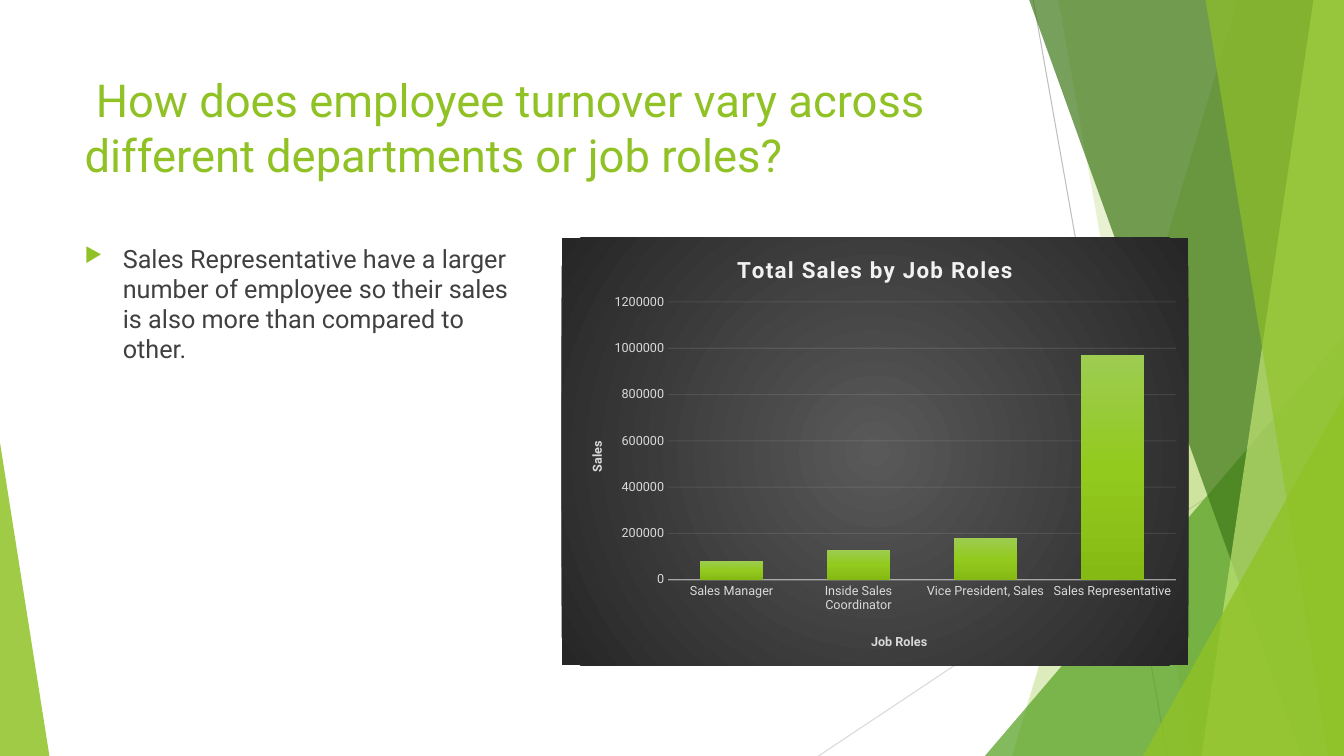
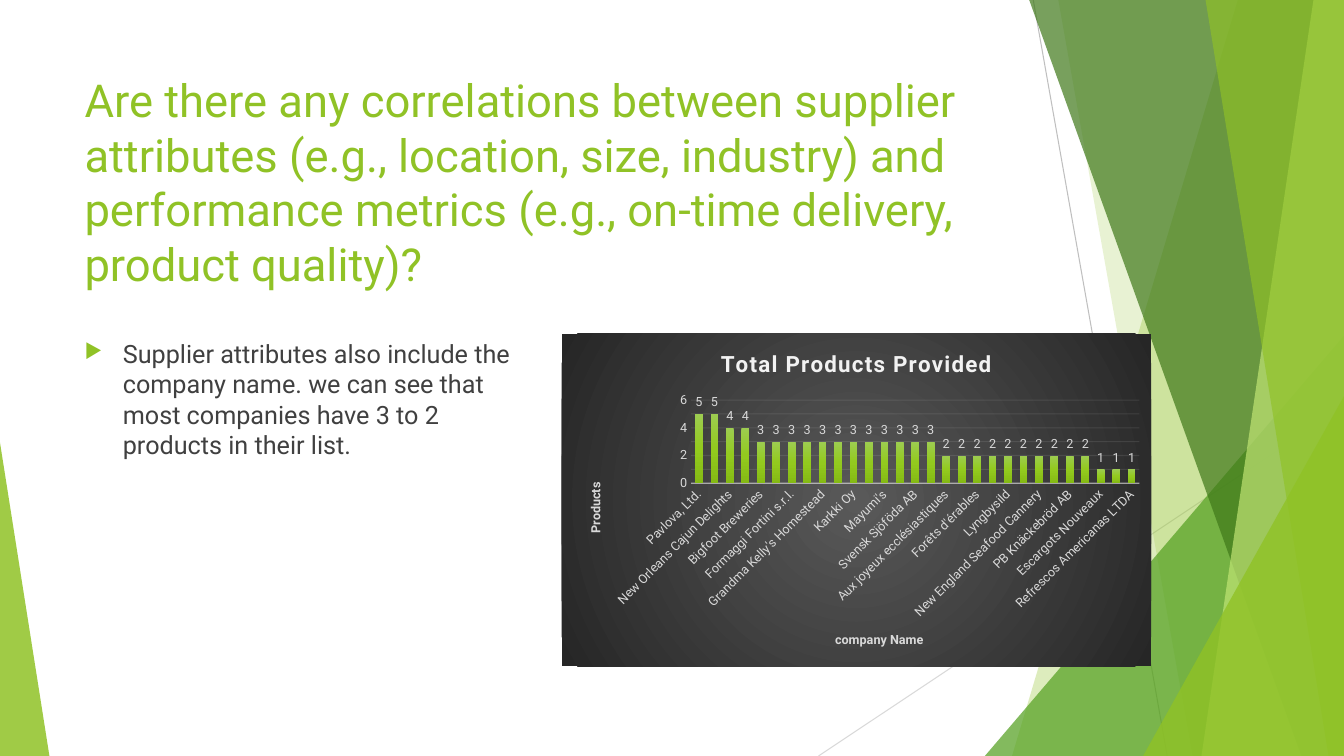
import dataclasses
from typing import Any

import lxml.etree
import pptx
import pptx.chart.data
import pptx.dml.color
import pptx.enum.chart
import pptx.enum.shapes
import pptx.oxml.ns
import pptx.util

qn = pptx.oxml.ns.qn
FONT = "Roboto"
HUES = {
    "lime": "90C226", "leaf": "54A021", "moss": "3F7819", "pale": "C0E474",
    "ink": "404040", "rule": "BFBFBF", "mist": "D9D9D9", "snow": "F2F2F2",
}
PANEL = [(0, "595959"), (100, "262626")]
BARS = [(0, "9DCC51"), (50, "93CA1E"), (100, "85BA14")]

deck = pptx.Presentation()
deck.slide_width = pptx.util.Inches(13.333)
deck.slide_height = pptx.util.Inches(7.5)


# Every length below is a percentage of the slide's width or height.
@dataclasses.dataclass
class Line:
    """A thin rule from (x, y) to (far, low)."""
    x: float
    y: float
    far: float
    low: float
    hue: str


@dataclasses.dataclass
class Slab:
    """A full-height band between a slanted edge and the right side."""
    top: float
    foot: float
    hue: str
    alpha: int


@dataclasses.dataclass
class Peak:
    """A right triangle standing on the bottom edge."""
    x: float
    y: float
    wide: float
    apex: float
    hue: str
    alpha: int


@dataclasses.dataclass
class Graph:
    """A column chart, with layouts as shares of its frame."""
    title: str
    across: str
    up: str
    data: dict[str, int]
    wide: float
    plot: tuple[float, ...]
    foot: tuple[float, ...]
    side: tuple[float, ...]
    step: int
    turn: int = 0
    tags: bool = False


@dataclasses.dataclass
class Page:
    """One slide: a question, a finding and a chart."""
    head: str
    note: str
    top: float
    tall: float
    graph: Graph


SCENE = [
    Line(76.88, 0, 86.85, 100, "rule"),
    Line(100, 53.73, 60.9, 100, "mist"),
    Slab(92.1, 75.3, "lime", 30),
    Slab(78.75, 88.73, "lime", 20),
    Peak(73.28, 44.4, 26.72, 1, "leaf", 72),
    Slab(76.58, 96.83, "moss", 70),
    Slab(97.73, 89.4, "pale", 70),
    Slab(89.7, 98.85, "lime", 65),
    Peak(85.05, 52.4, 14.95, 1, "lime", 80),
    Peak(0, 58.53, 3.68, 0, "lime", 85),
]

ROLES = {"Sales Manager": 80000, "Inside Sales Coordinator": 130000,
         "Vice President, Sales": 180000, "Sales Representative": 970000}
FIRMS = {
    5: ["Pavlova, Ltd.", "Plutzer Lebensmittelgroßmärkte AG"],
    4: ["New Orleans Cajun Delights", "Specialty Biscuits, Ltd."],
    3: ["Bigfoot Breweries", "Exotic Liquids", "Formaggi Fortini s.r.l.",
        "G'day, Mate", "Grandma Kelly's Homestead",
        "Heli Süßwaren GmbH & Co. KG", "Karkki Oy", "Leka Trading",
        "Mayumi's", "Nordly Meierier", "Svensk Sjöföda AB",
        "Tokyo Traders"],
    2: ["Aux joyeux ecclésiastiques", "Cooperativa de Quesos 'Las Cabras'",
        "Forêts d'érables", "Gai pâturage", "Lyngbysild", "Ma Maison",
        "New England Seafood Cannery", "Pasta Buttini s.r.l.",
        "PB Knäckebröd AB", "Zaanse Snoepfabriek"],
    1: ["Escargots Nouveaux", "Nord-Ost-Fisch Handelsgesellschaft mbH",
        "Refrescos Americanas LTDA"],
}
GOODS = {firm: count for count, firms in FIRMS.items() for firm in firms}

PAGES = [
    Page(" How does employee turnover vary across different departments "
         "or job roles?",
         "Sales Representative have a larger number of employee so their "
         "sales is also more than compared to other.",
         31.47, 56.53,
         Graph("Total Sales by Job Roles", "Job Roles", "Sales", ROLES, 46.65,
               (.17, .15, .81, .65), (.49, .92), (.04, .47), 200000)),
    Page("Are there any correlations between supplier attributes (e.g., "
         "location, size, industry) and performance metrics (e.g., on-time "
         "delivery, product quality)?",
         "Supplier attributes also include the company name. we can see that "
         "most companies have 3 to 2 products in their list.",
         44.13, 44,
         Graph("Total Products Provided", "company Name", "Products", GOODS,
               43.88, (.22, .2, .76, .25), (.46, .89), (.04, .44), 1, -45,
               True)),
]


def across(share: float) -> int:
    """Turn a share of the width into a length."""
    return round(deck.slide_width * share / 100)


def down(share: float) -> int:
    """Turn a share of the height into a length."""
    return round(deck.slide_height * share / 100)


def color(hue: str) -> pptx.dml.color.RGBColor:
    """Look up a named colour."""
    return pptx.dml.color.RGBColor.from_string(HUES[hue])


def add(node: Any, tag: str, **attrs: Any) -> Any:
    """Append an XML child with attributes."""
    return lxml.etree.SubElement(
        node, qn(tag), {key: str(val) for key, val in attrs.items()})


def fade(node: Any, alpha: int) -> None:
    """Make each plain colour under a node translucent."""
    for tint in node.iter(qn("a:srgbClr")):
        add(tint, "a:alpha", val=alpha * 1000)


def style(font: Any, size: float, hue: str, bold: bool = False) -> None:
    """Set face, size, colour and weight."""
    font.name, font.size, font.bold = FONT, pptx.util.Pt(size), bold
    font.color.rgb = color(hue)


def draw(shapes: Any, part: Line | Slab | Peak) -> Any:
    """Draw one part of the backdrop."""
    if isinstance(part, Line):
        rule = shapes.add_connector(
            pptx.enum.shapes.MSO_CONNECTOR.STRAIGHT, across(part.x),
            down(part.y), across(part.far), down(part.low))
        rule.line.color.rgb = color(part.hue)
        rule.line.width = pptx.util.Pt(.75)
        add(rule._element.spPr, "a:effectLst")
        return rule
    if isinstance(part, Slab):
        pen = shapes.build_freeform(across(part.top), 0)
        pen.add_line_segments([(across(x), down(y)) for x, y in
                               ((100, 0), (100, 100), (part.foot, 100))])
        shape = pen.convert_to_shape()
    else:
        shape = shapes.add_shape(
            pptx.enum.shapes.MSO_SHAPE.ISOSCELES_TRIANGLE, across(part.x),
            down(part.y), across(part.wide), down(100 - part.y))
        shape.adjustments[0] = part.apex
    shape.shadow.inherit = False
    shape.fill.solid()
    shape.fill.fore_color.rgb = color(part.hue)
    shape.line.fill.background()
    fade(shape._element.spPr, part.alpha)
    return shape


def share(slide: Any, layout: Any) -> None:
    """Draw the backdrop and hand it to the layout of all slides."""
    for holder in list(layout.placeholders):
        holder._element.getparent().remove(holder._element)
    for part in SCENE:
        layout.shapes._spTree.append(draw(slide.shapes, part)._element)


def write(slide: Any, text: str, box: tuple[float, ...], size: float,
          hue: str) -> Any:
    """Add a wrapped text box and return its paragraph."""
    x, y, wide, tall = box
    frame = slide.shapes.add_textbox(
        across(x), down(y), across(wide), down(tall)).text_frame
    frame.word_wrap = True
    frame.text = text
    style(frame.paragraphs[0].runs[0].font, size, hue)
    return frame.paragraphs[0]


def bullet(para: Any) -> None:
    """Give a paragraph the green arrow bullet."""
    para.space_before = pptx.util.Pt(10)
    props = para._p.get_or_add_pPr()
    dent = pptx.util.Inches(.38)
    props.set("marL", str(dent))
    props.set("indent", str(-dent))
    add(add(props, "a:buClr"), "a:srgbClr", val=HUES["lime"])
    add(props, "a:buSzPct", val=80000)
    add(props, "a:buChar", char="▶")


def blend(node: Any, stops: list[tuple[int, str]], round_: bool) -> None:
    """Append a round or a downward gradient fill."""
    fill = add(node, "a:gradFill", rotWithShape=1)
    row = add(fill, "a:gsLst")
    for pos, tint in stops:
        add(add(row, "a:gs", pos=pos * 1000), "a:srgbClr", val=tint)
    if round_:
        add(add(fill, "a:path", path="circle"), "a:fillToRect",
            **dict.fromkeys("ltrb", 50000))
    else:
        add(fill, "a:lin", ang=5400000, scaled=0)


def place(node: Any, spot: tuple[float, ...], inner: bool = False) -> None:
    """Fix a chart part at shares of the chart's frame."""
    slot = node.find(qn("c:layout"))
    if slot is None:
        slot = add(node, "c:layout")
        node.insert(0 if node.find(qn("c:tx")) is None else 1, slot)
    hold = add(slot, "c:manualLayout")
    if inner:
        add(hold, "c:layoutTarget", val="inner")
    for key in "xy":
        add(hold, f"c:{key}Mode", val="edge")
    for key, val in zip("xywh", spot):
        add(hold, f"c:{key}", val=val)


def label(title: Any, text: str, size: float, hue: str) -> Any:
    """Write a bold chart or axis title and return its run."""
    title.text_frame.text = text
    run = title.text_frame.paragraphs[0].runs[0]
    style(run.font, size, hue, True)
    return run


def plot(slide: Any, page: Page) -> None:
    """Add the dark column chart."""
    graph, kinds = page.graph, pptx.enum.chart
    data = pptx.chart.data.CategoryChartData()
    data.categories = list(graph.data)
    data.add_series("Series 1", list(graph.data.values()))
    chart = slide.shapes.add_chart(
        kinds.XL_CHART_TYPE.COLUMN_CLUSTERED, across(41.78), down(page.top),
        across(graph.wide), down(page.tall), data).chart
    chart.has_legend = False
    style(chart.font, 10, "mist")
    back = add(chart._chartSpace, "c:spPr")
    blend(back, PANEL, True)
    add(add(back, "a:ln"), "a:noFill")
    chart._chartSpace.find(qn("c:txPr")).addprevious(back)
    run = label(chart.chart_title, graph.title, 16, "snow")
    run._r.get_or_add_rPr().set("spc", "100")
    chart.chart_title.include_in_layout = False
    place(chart._chartSpace.find(".//" + qn("c:plotArea")), graph.plot, True)

    cat, val = chart.category_axis, chart.value_axis
    for axis, text, spot in ((cat, graph.across, graph.foot),
                             (val, graph.up, graph.side)):
        axis.major_tick_mark = kinds.XL_TICK_MARK.NONE
        axis.minor_tick_mark = kinds.XL_TICK_MARK.NONE
        style(axis.tick_labels.font, 9, "mist")
        label(axis.axis_title, text, 9, "mist")
        place(axis._element.find(qn("c:title")), spot)
    turn = val.axis_title.text_frame._txBody.find(qn("a:bodyPr"))
    turn.set("rot", "-5400000")
    turn.set("vert", "horz")
    if graph.turn:
        body = cat._element.find(qn("c:txPr")).find(qn("a:bodyPr"))
        body.set("rot", str(graph.turn * 60000))
    val.minimum_scale, val.maximum_scale = 0, graph.step * 6
    val.major_unit = graph.step
    val.format.line.fill.background()
    for line, width in ((cat.format.line, 1),
                        (val.major_gridlines.format.line, .75)):
        line.color.rgb = color("snow")
        line.width = pptx.util.Pt(width)
    fade(cat._element.find(qn("c:spPr")), 54)
    fade(val._element.find(qn("c:majorGridlines")), 10)

    group = chart.plots[0]
    group.gap_width, group.overlap = 100, -24
    group.vary_by_categories = False
    blend(group.series[0]._element.get_or_add_spPr(), BARS, False)
    if graph.tags:
        group.has_data_labels = True
        group.data_labels.show_value = True
        group.data_labels.position = kinds.XL_LABEL_POSITION.OUTSIDE_END
        style(group.data_labels.font, 9, "mist")


def main() -> None:
    """Build and save the slides."""
    blank = deck.slide_layouts[6]
    for count, page in enumerate(PAGES):
        slide = deck.slides.add_slide(blank)
        if count == 0:
            share(slide, blank)
        write(slide, page.head, (5.55, 8.93, 70.5, 19.2), 32.4, "lime")
        bullet(write(slide, page.note, (5.55, page.top, 34.35, page.tall),
                     18, "ink"))
        plot(slide, page)
    deck.save("out.pptx")


main()
